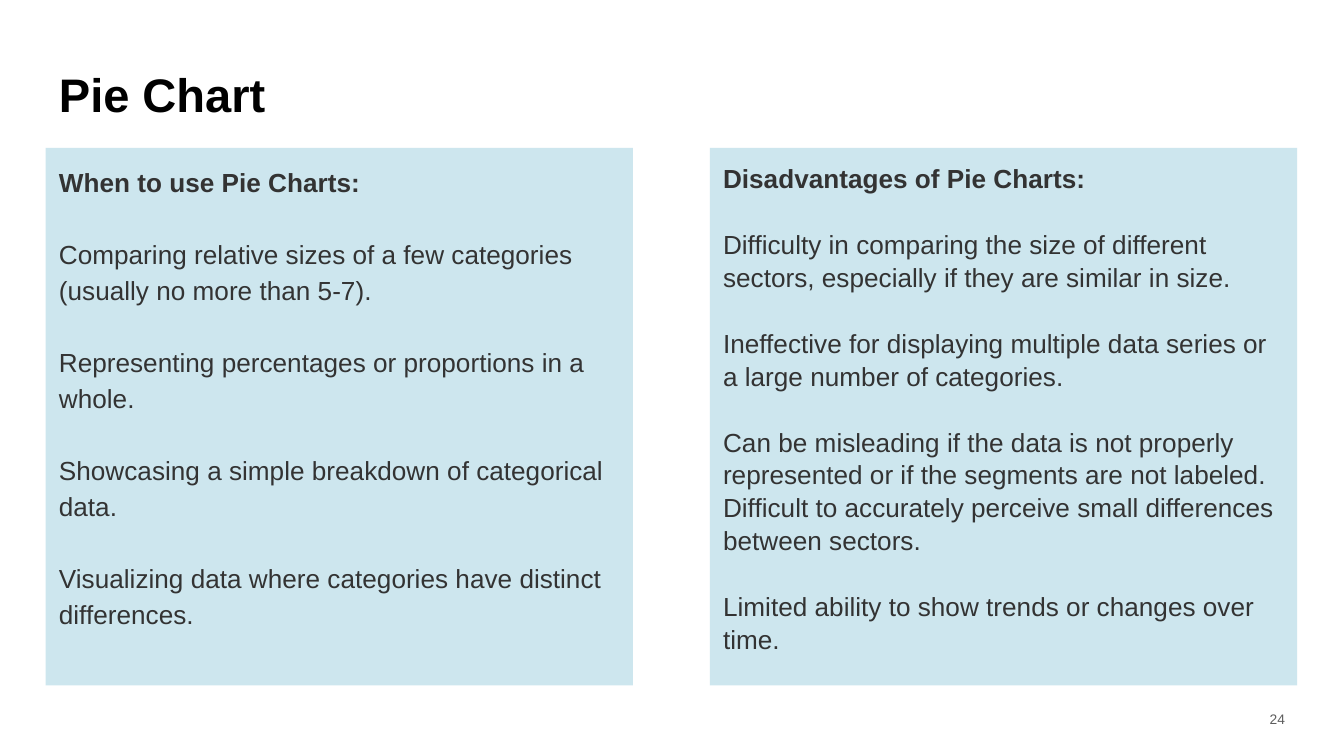
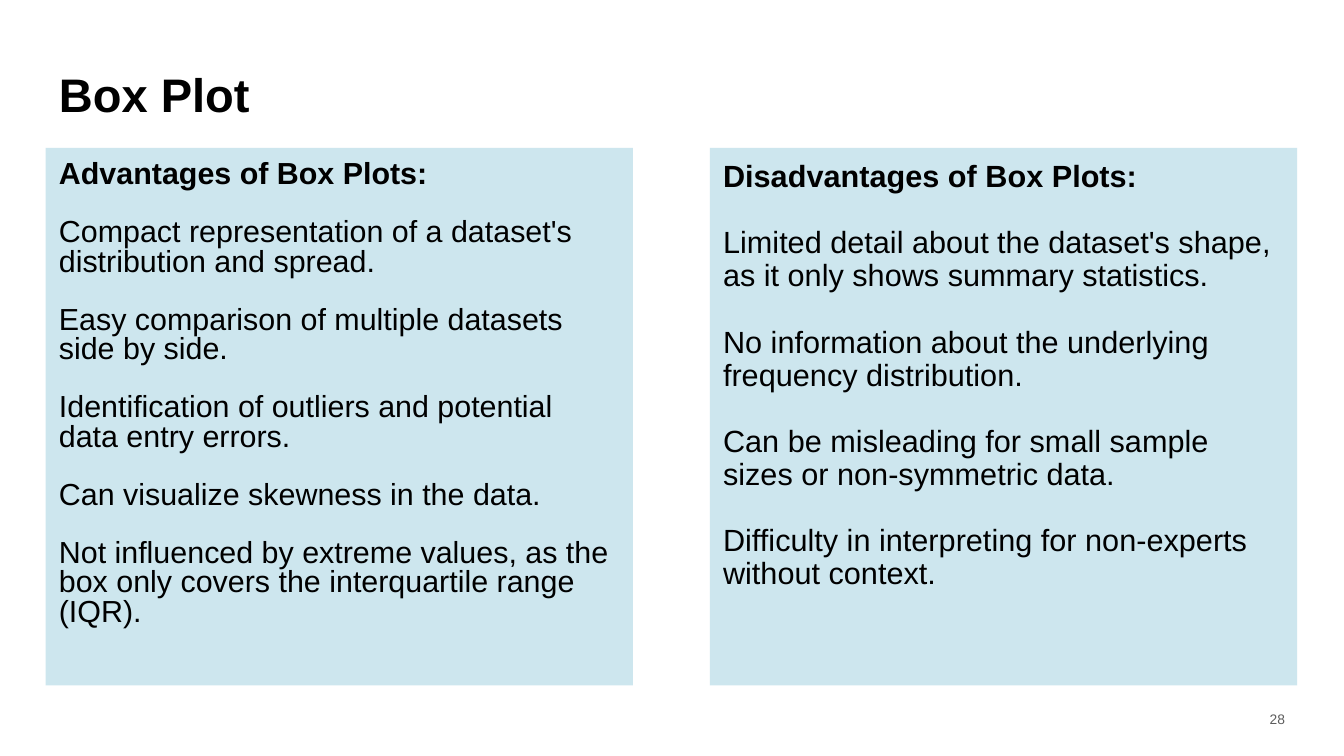
from pptx import Presentation
from pptx.dml.color import RGBColor
from pptx.enum.shapes import MSO_SHAPE as Preset
from pptx.enum.text import MSO_ANCHOR as Anchor, PP_ALIGN as Align
from pptx.util import Pt

FONT = "Arial"
BLACK = RGBColor(0x00, 0x00, 0x00)
CHARCOAL = RGBColor(0x33, 0x33, 0x33)
GRAY = RGBColor(0x5D, 0x5D, 0x5D)
PALE_BLUE = RGBColor(0xCD, 0xE6, 0xEE)

SLIDE_SIZE = (720, 405)
TITLE_BOX = (24.5, 27.4, 641.5, 45.4)
PANEL_BOXES = [(left, 79.2, 314.6, 288) for left in (24.5, 380.3)]
NUMBER_BOX = (666.7, 375.1, 28.8, 21.6)
INSET = 7.2
LINE_HEIGHT = 1.2

SLIDES = [
    {
        "title": "Pie Chart",
        "number": "24",
        "color": CHARCOAL,
        "panels": [
            {
                "size": 14,
                "spacing": 1.15,
                "heading": "When to use Pie Charts:",
                "points": [
                    "Comparing relative sizes of a few categories (usually no more than 5-7).",
                    "Representing percentages or proportions in a whole.",
                    "Showcasing a simple breakdown of categorical data.",
                    "Visualizing data where categories have distinct differences.",
                ],
            },
            {
                "size": 14,
                "spacing": 1.05,
                "heading": "Disadvantages of Pie Charts:",
                "points": [
                    "Difficulty in comparing the size of different sectors, "
                    "especially if they are similar in size.",
                    "Ineffective for displaying multiple data series or "
                    "a large number of categories.",
                    "Can be misleading if the data is not properly represented "
                    "or if the segments are not labeled. Difficult to accurately "
                    "perceive small differences between sectors.",
                    "Limited ability to show trends or changes over time.",
                ],
            },
        ],
    },
    {
        "title": "Box Plot",
        "number": "28",
        "color": BLACK,
        "panels": [
            {
                "size": 16.3,
                "spacing": 0.8,
                "heading": "Advantages of Box Plots:",
                "points": [
                    "Compact representation of a dataset's distribution and spread.",
                    "Easy comparison of multiple datasets side by side.",
                    "Identification of outliers and potential data entry errors.",
                    "Can visualize skewness in the data.",
                    "Not influenced by extreme values, as the box only covers "
                    "the interquartile range (IQR).",
                ],
            },
            {
                "size": 16.4,
                "spacing": 0.9,
                "heading": "Disadvantages of Box Plots:",
                "points": [
                    "Limited detail about the dataset's shape, "
                    "as it only shows summary statistics.",
                    "No information about the underlying frequency distribution.",
                    "Can be misleading for small sample sizes or non-symmetric data.",
                    "Difficulty in interpreting for non-experts without context.",
                ],
            },
        ],
    },
]


def write(frame, text, *, size, color, bold=False, align=Align.LEFT, spacing=1.0, gap=0):
    """Write one paragraph, filling the first one of an empty frame."""
    paragraph = frame.add_paragraph() if frame.text else frame.paragraphs[0]
    paragraph.alignment = align
    paragraph.line_spacing = spacing
    paragraph.space_before = Pt(gap)
    run = paragraph.add_run()
    run.text = text
    run.font.name = FONT
    run.font.size = Pt(size)
    run.font.bold = bold
    run.font.color.rgb = color


def prepare(frame, anchor):
    """Set wrapping, anchor and equal insets, and return the frame."""
    frame.word_wrap = True
    frame.vertical_anchor = anchor
    frame.margin_left = frame.margin_right = Pt(INSET)
    frame.margin_top = frame.margin_bottom = Pt(INSET)
    return frame


def add_label(slide, box, text, **style):
    """Add a single vertically centred line of text."""
    label = slide.shapes.add_textbox(*map(Pt, box))
    write(prepare(label.text_frame, Anchor.MIDDLE), text, **style)


def add_panel(slide, box, panel, color):
    """Add a tinted panel with a bold heading and spaced points."""
    background = slide.shapes.add_shape(Preset.RECTANGLE, *map(Pt, box))
    background.shadow.inherit = False
    background.fill.solid()
    background.fill.fore_color.rgb = PALE_BLUE
    background.line.fill.background()
    frame = prepare(background.text_frame, Anchor.TOP)
    style = {"size": panel["size"], "spacing": panel["spacing"], "color": color}
    gap = round(panel["size"] * panel["spacing"] * LINE_HEIGHT, 1)
    write(frame, panel["heading"], bold=True, **style)
    for point in panel["points"]:
        write(frame, point, gap=gap, **style)


def add_comparison(deck, content):
    """Add a slide with a title, two panels and a page number."""
    slide = deck.slides.add_slide(deck.slide_layouts[6])
    add_label(slide, TITLE_BOX, content["title"], size=25.2, color=BLACK, bold=True)
    for box, panel in zip(PANEL_BOXES, content["panels"]):
        add_panel(slide, box, panel, content["color"])
    add_label(slide, NUMBER_BOX, content["number"], size=7.4, color=GRAY,
              align=Align.RIGHT, spacing=0.8)


def main():
    """Build and save the deck."""
    deck = Presentation()
    deck.slide_width, deck.slide_height = map(Pt, SLIDE_SIZE)
    for content in SLIDES:
        add_comparison(deck, content)
    deck.save("out.pptx")


if __name__ == "__main__":
    main()
